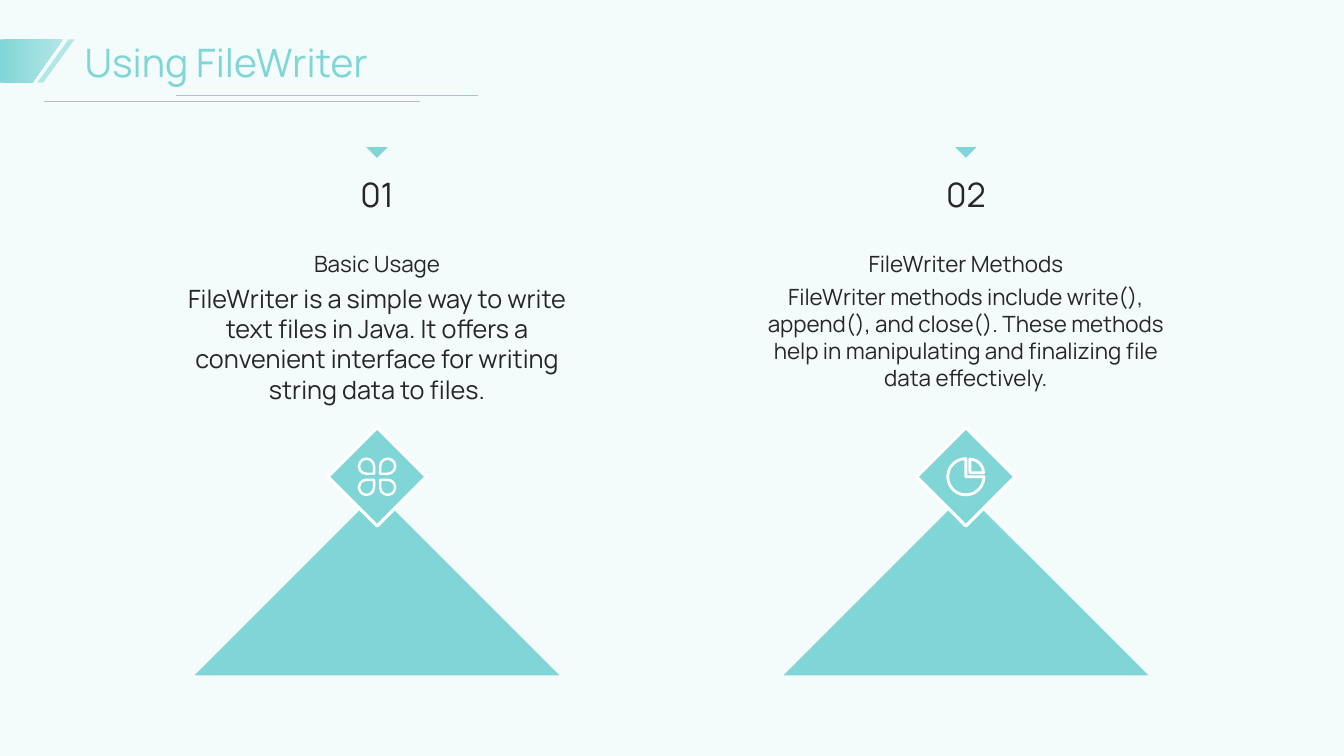
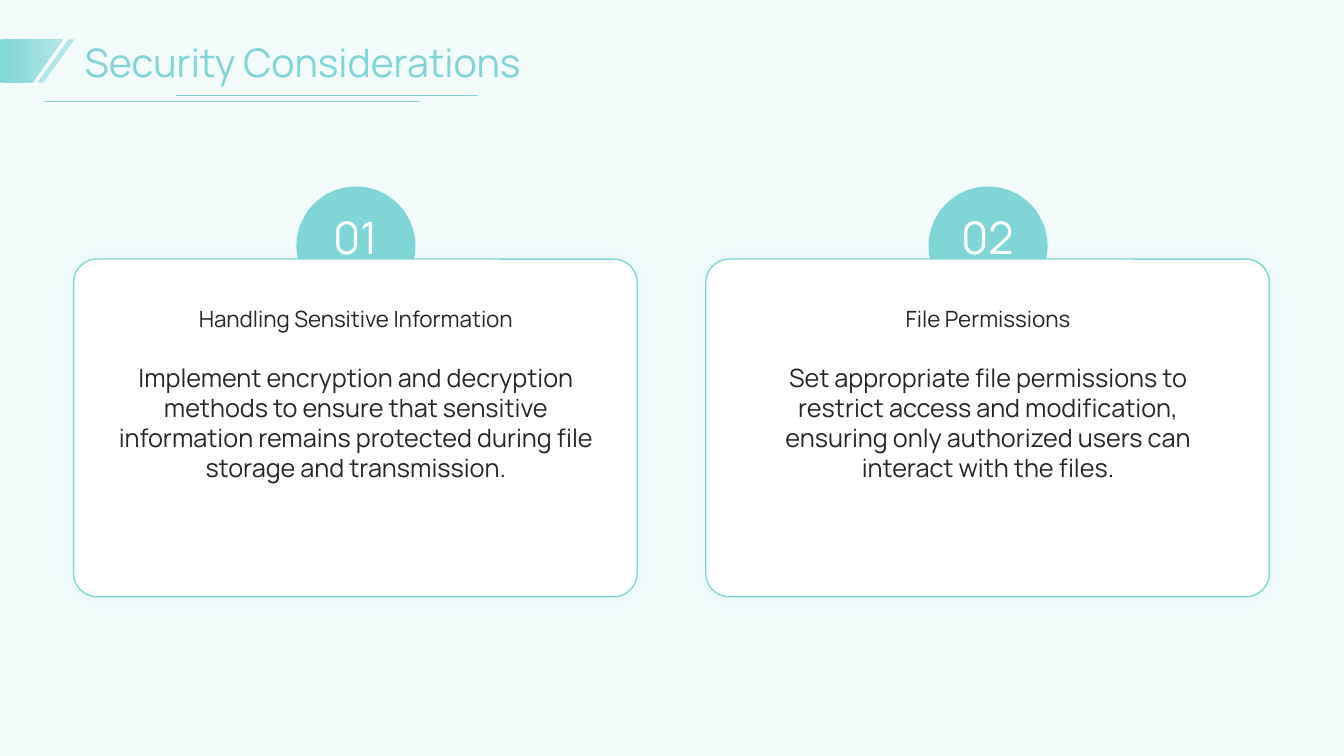
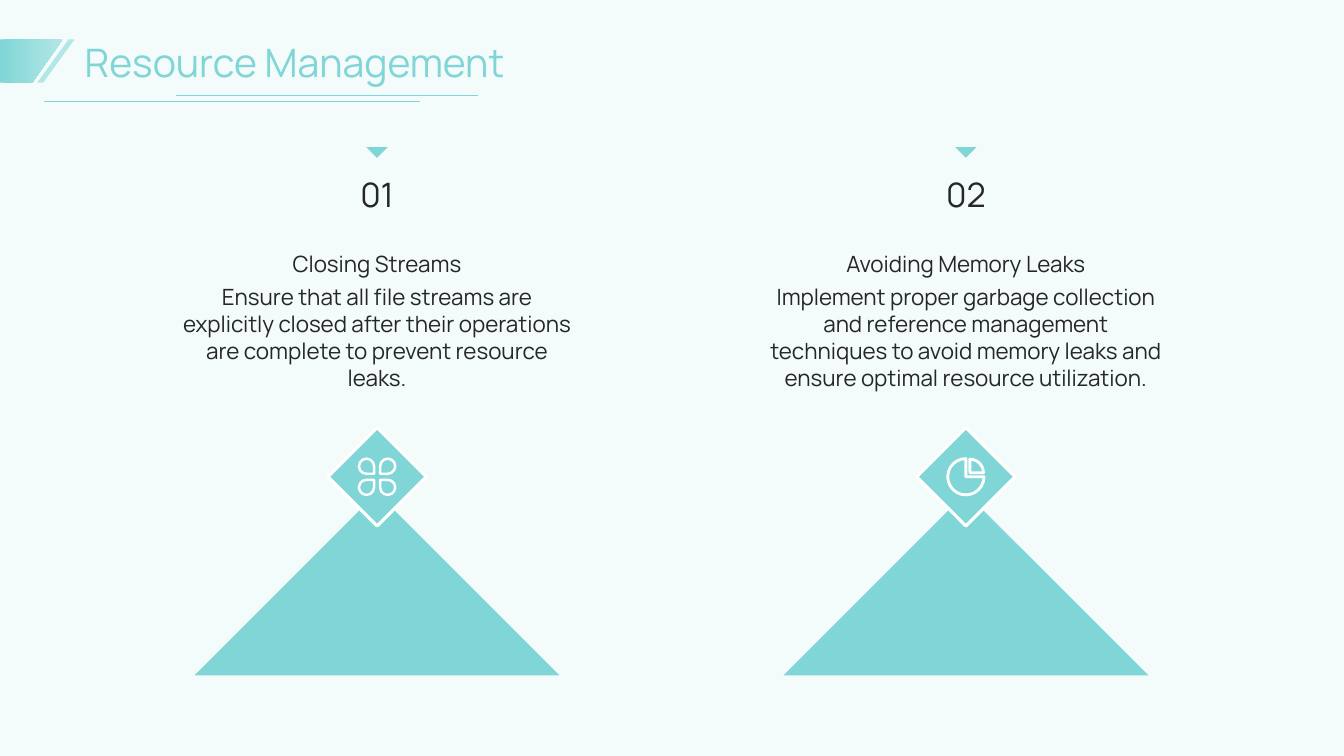
import pptx
import pptx.dml.color
import pptx.enum.shapes
import pptx.enum.text
import pptx.oxml
import pptx.oxml.ns
import pptx.util

Inches = pptx.util.Inches
Pt = pptx.util.Pt
SHAPE = pptx.enum.shapes.MSO_SHAPE
ALIGN = pptx.enum.text.PP_ALIGN
ANCHOR = pptx.enum.text.MSO_ANCHOR

FONT = "Manrope"
WIDTH, HEIGHT = 13.33, 7.5
COLORS = {
    "wash": "E6F7F7",
    "teal": "80D6D6",
    "pale": "B3E6E6",
    "ink": "262626",
    "white": "FFFFFF",
}
PEAK_CENTERS = (3.74, 9.58)
CARD_CENTERS = (3.53, 9.8)
ICON_MIDDLE = 4.73


def rgb(name):
    return pptx.dml.color.RGBColor.from_string(COLORS[name])


def paint(shape, fill=None, line=None, line_width=1):
    """Set fill and outline by colour name; None means there is none."""
    shape.shadow.inherit = False
    if fill:
        shape.fill.solid()
        shape.fill.fore_color.rgb = rgb(fill)
    else:
        shape.fill.background()
    if line:
        shape.line.color.rgb = rgb(line)
        shape.line.width = Pt(line_width)
    else:
        shape.line.fill.background()


def add_preset(page, kind, left, top, width, height, rotation=0, adjust=(), **colors):
    shape = page.shapes.add_shape(
        kind, Inches(left), Inches(top), Inches(width), Inches(height))
    shape.rotation = rotation
    for index, value in enumerate(adjust):
        shape.adjustments[index] = value
    paint(shape, **colors)
    return shape


def add_centered(page, kind, center, middle, size, **options):
    """Add a square preset shape around a centre point."""
    return add_preset(page, kind, center - size / 2, middle - size / 2,
                      size, size, **options)


def add_outline(page, points, **colors):
    """Add a closed polygon through points given in inches."""
    start, *others = [(Inches(x), Inches(y)) for x, y in points]
    builder = page.shapes.build_freeform(*start)
    builder.add_line_segments(others, close=True)
    shape = builder.convert_to_shape()
    paint(shape, **colors)
    return shape


def add_text(page, text, left, top, width, height, *, size=16, color="ink",
             align=ALIGN.CENTER, anchor=ANCHOR.TOP):
    box = page.shapes.add_textbox(
        Inches(left), Inches(top), Inches(width), Inches(height))
    frame = box.text_frame
    frame.word_wrap = True
    frame.vertical_anchor = anchor
    frame.margin_left = frame.margin_right = 0
    frame.margin_top = frame.margin_bottom = 0
    para = frame.paragraphs[0]
    para.alignment = align
    span = para.add_run()
    span.text = text
    span.font.size = Pt(size)
    span.font.name = FONT
    span.font.color.rgb = rgb(color)


def add_rule(page, left, right, y):
    rule = page.shapes.add_connector(
        pptx.enum.shapes.MSO_CONNECTOR.STRAIGHT,
        Inches(left), Inches(y), Inches(right), Inches(y))
    rule.line.color.rgb = rgb("teal")
    rule.line.width = Pt(0.5)
    rule._element.spPr.append(pptx.oxml.parse_xml(
        f"<a:effectLst {pptx.oxml.ns.nsdecls('a')}/>"))


def add_glow(shape):
    """Give the shape a soft, faint teal shadow on all sides."""
    effects = shape._element.spPr.find(pptx.oxml.ns.qn("a:effectLst"))
    effects.append(pptx.oxml.parse_xml(
        f'<a:outerShdw {pptx.oxml.ns.nsdecls("a")} blurRad="{Pt(25)}" dist="0" '
        f'dir="5400000" algn="t" rotWithShape="0"><a:srgbClr val="{COLORS["teal"]}">'
        '<a:alpha val="10000"/></a:srgbClr></a:outerShdw>'))


def add_backdrop(page):
    backdrop = add_preset(page, SHAPE.RECTANGLE, 0, 0, WIDTH, HEIGHT, fill="wash")
    color = backdrop._element.spPr.find(".//" + pptx.oxml.ns.qn("a:srgbClr"))
    color.append(pptx.oxml.parse_xml(
        f'<a:alpha {pptx.oxml.ns.nsdecls("a")} val="43000"/>'))


def add_heading(page, title):
    add_text(page, title, 0.84, 0.36, 11.76, 0.51, size=28, color="teal",
             align=ALIGN.LEFT, anchor=ANCHOR.MIDDLE)
    add_preset(page, SHAPE.PARALLELOGRAM, 0.37, 0.39, 0.37, 0.43,
               adjust=[0.84], fill="pale")
    band = add_outline(page, [(0, 0.39), (0.62, 0.39), (0.32, 0.82), (0, 0.82)])
    band.fill.gradient()
    band.fill.gradient_angle = 0
    for stop, name, position in zip(band.fill.gradient_stops, ("teal", "pale"), (0, 1)):
        stop.color.rgb = rgb(name)
        stop.position = position
    add_rule(page, 0.44, 4.17, 1.01)
    add_rule(page, 1.75, 4.74, 0.95)


def add_clover_icon(page, center):
    pitch = 0.21
    for column, row, rotation in ((-1, -1, 90), (1, -1, 180), (1, 1, 270), (-1, 1, 0)):
        add_centered(page, SHAPE.TEAR, center + column * pitch / 2,
                     ICON_MIDDLE + row * pitch / 2, 0.15,
                     rotation=rotation, line="white", line_width=1.75)


def add_pie_icon(page, center):
    # Angles are in units of 1/0.6 degree: 162 is twelve o'clock, 0 is three.
    for shift, size, angles in ((0, 0.36, (0, 162)), (0.04, 0.27, (162, 0))):
        add_centered(page, SHAPE.PIE, center + shift, ICON_MIDDLE - shift, size,
                     adjust=angles, line="white", line_width=2)


def add_peak(page, center, number, heading, body, body_size, add_icon):
    """Add one column: marker, number, texts, and a peak topped by an icon."""
    add_outline(page, [(center, 4.89), (center + 1.81, 6.7), (center - 1.81, 6.7)],
                fill="teal")
    add_centered(page, SHAPE.RIGHT_TRIANGLE, center, 1.46, 0.15,
                 rotation=315, fill="teal")
    add_text(page, number, center - 1.04, 1.73, 2.08, 0.33, size=24)
    left = center - 1.97
    add_text(page, heading, left, 2.44, 3.94, 0.31, anchor=ANCHOR.BOTTOM)
    add_text(page, body, left, 2.81, 3.94, 1.23, size=body_size)
    add_centered(page, SHAPE.RECTANGLE, center, ICON_MIDDLE, 0.69, rotation=45,
                 fill="teal", line="white", line_width=2.25)
    add_icon(page, center)


def add_card(page, center, number, heading, body):
    """Add a rounded card with a numbered disc rising behind it."""
    add_centered(page, SHAPE.OVAL, center, 2.44, 1.18, fill="teal")
    add_text(page, number, center - 0.45, 2.08, 0.9, 0.39, size=32, color="white")
    card = add_preset(page, SHAPE.ROUNDED_RECTANGLE, center - 2.8, 2.57, 5.59, 3.35,
                      adjust=[0.07], fill="white", line="teal")
    add_glow(card)
    add_text(page, heading, center - 2.4, 2.93, 4.8, 0.47, anchor=ANCHOR.MIDDLE)
    add_text(page, body, center - 2.4, 3.59, 4.8, 2.13, size=18)


def add_page(deck, title):
    page = deck.slides.add_slide(deck.slide_layouts[6])
    add_backdrop(page)
    add_heading(page, title)
    return page


def add_peaks_page(deck, title, columns):
    page = add_page(deck, title)
    icons = (add_clover_icon, add_pie_icon)
    for index, (center, column, icon) in enumerate(zip(PEAK_CENTERS, columns, icons), 1):
        add_peak(page, center, f"{index:02}", *column, icon)


def add_cards_page(deck, title, cards):
    page = add_page(deck, title)
    for index, (center, card) in enumerate(zip(CARD_CENTERS, cards), 1):
        add_card(page, center, f"{index:02}", *card)


def main():
    deck = pptx.Presentation()
    deck.slide_width, deck.slide_height = Inches(WIDTH), Inches(HEIGHT)
    add_peaks_page(deck, "Using FileWriter", [
        ("Basic Usage",
         "FileWriter is a simple way to write text files in Java. It offers a "
         "convenient interface for writing string data to files.", 18),
        ("FileWriter Methods",
         "FileWriter methods include write(), append(), and close(). These methods "
         "help in manipulating and finalizing file data effectively.", 16),
    ])
    add_cards_page(deck, "Security Considerations", [
        ("Handling Sensitive Information",
         "Implement encryption and decryption methods to ensure that sensitive "
         "information remains protected during file storage and transmission."),
        ("File Permissions",
         "Set appropriate file permissions to restrict access and modification, "
         "ensuring only authorized users can interact with the files."),
    ])
    add_peaks_page(deck, "Resource Management", [
        ("Closing Streams",
         "Ensure that all file streams are explicitly closed after their operations "
         "are complete to prevent resource leaks.", 16),
        ("Avoiding Memory Leaks",
         "Implement proper garbage collection and reference management techniques "
         "to avoid memory leaks and ensure optimal resource utilization.", 16),
    ])
    deck.save("out.pptx")


if __name__ == "__main__":
    main()
